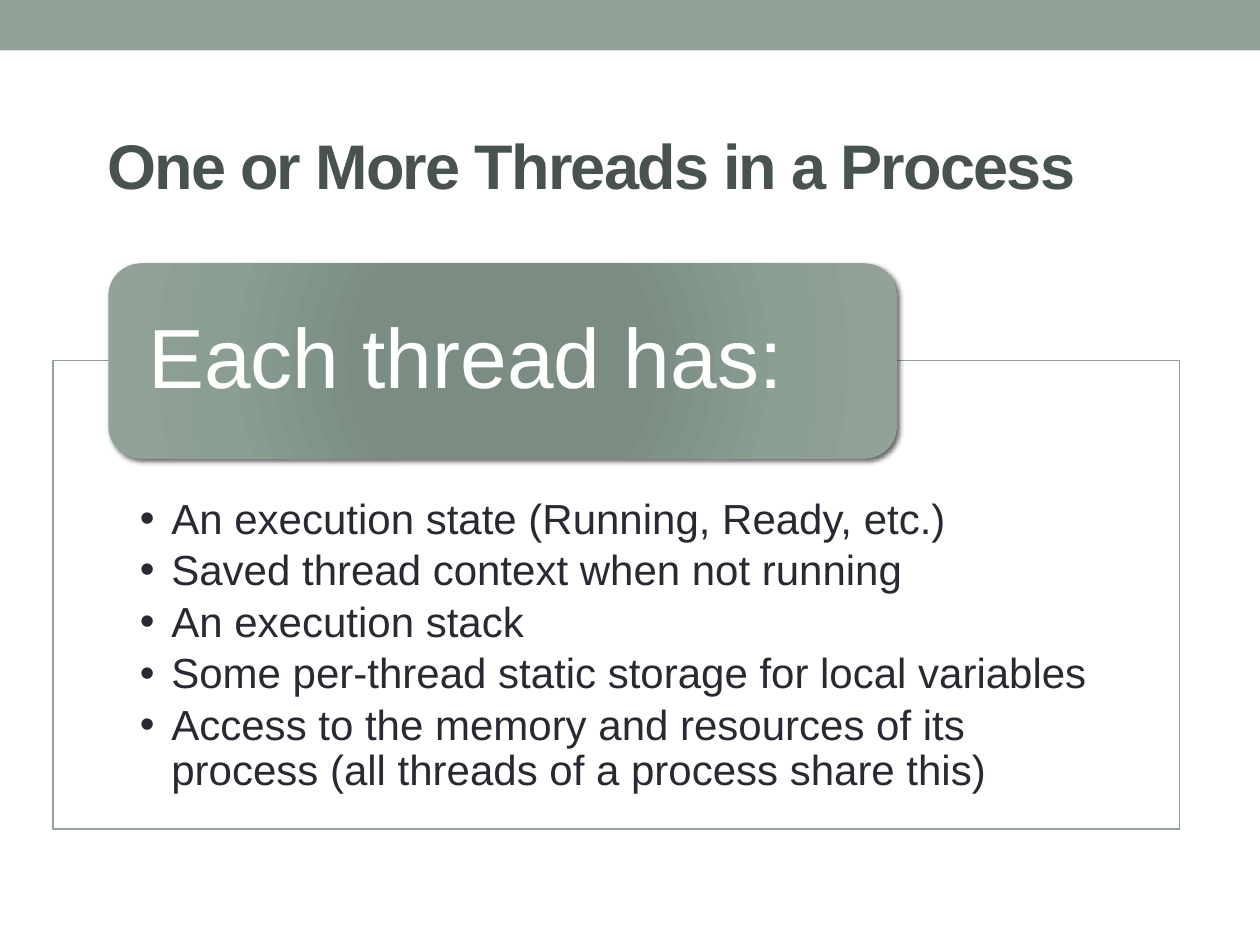
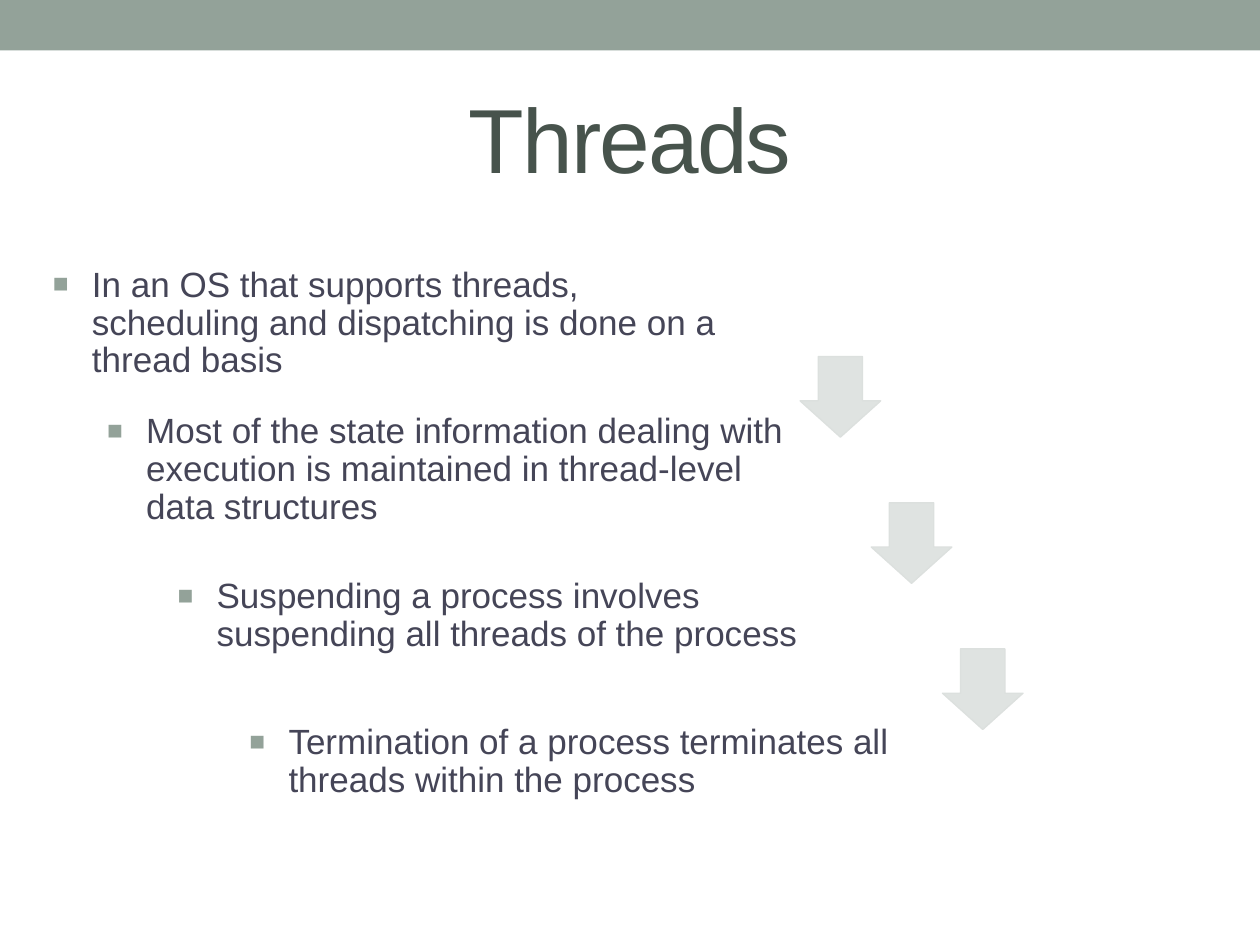
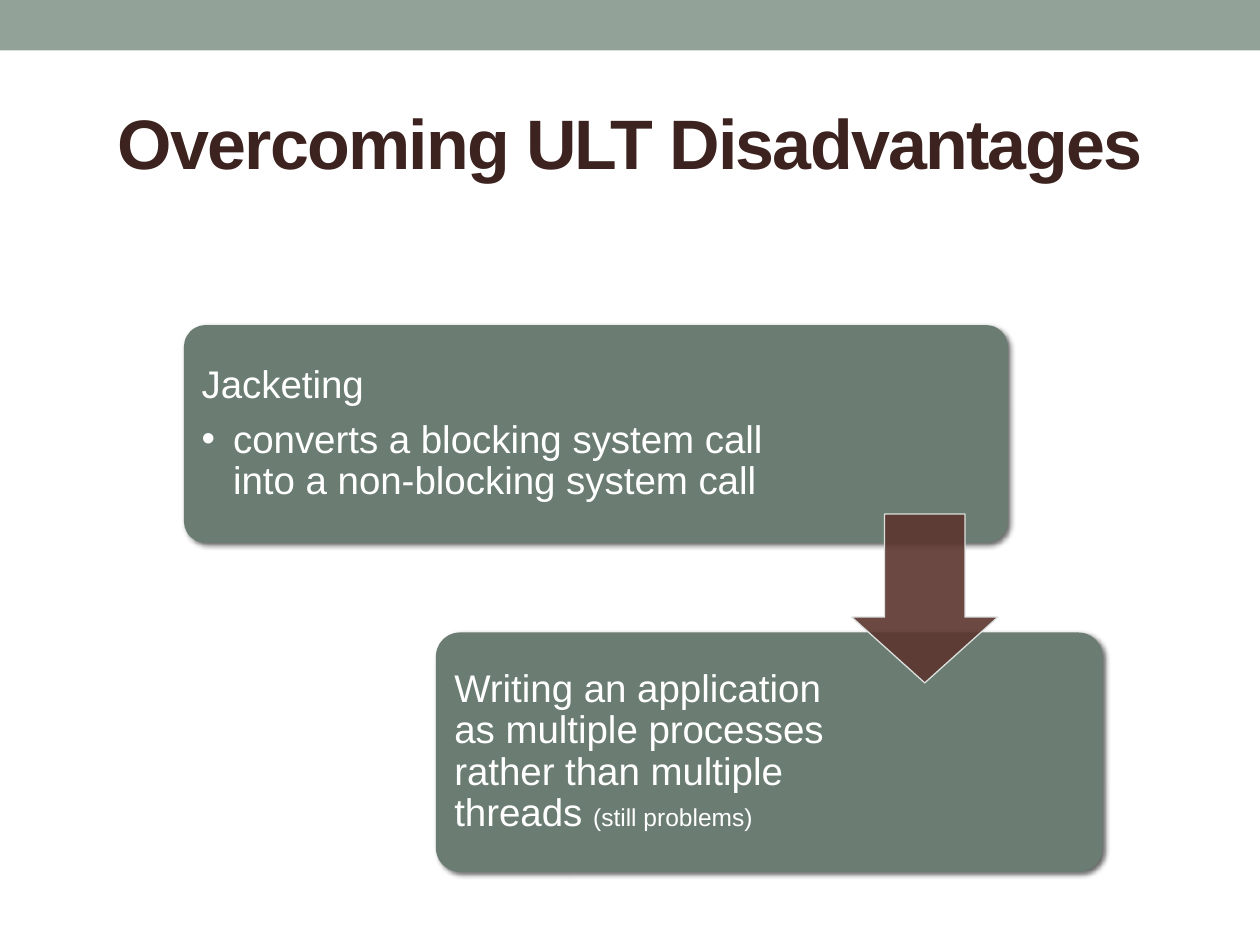
"""Build three slides about threads, with a shared band, title style and card style."""
from lxml.etree import SubElement
from pptx import Presentation
from pptx.dml.color import RGBColor
from pptx.enum.shapes import MSO_SHAPE
from pptx.enum.text import MSO_ANCHOR, MSO_AUTO_SIZE, PP_ALIGN
from pptx.oxml import parse_xml
from pptx.oxml.ns import nsdecls, qn
from pptx.util import Inches, Pt

SAGE, MOSS, SLATE = "93A299", "6B7D72", "47534C"
PALE, WHITE, INK, DUSK = "DCE0DE", "FFFFFF", "292934", "454557"
BROWN, DARK_BROWN = "5B352E", "3C231F"


def paint(shape, fill, line=None, alpha=100, shadow=False):
    shape.fill.solid()
    shape.fill.fore_color.rgb = RGBColor.from_string(fill)
    if alpha < 100:
        color = shape.element.spPr.find(qn("a:solidFill"))[0]
        SubElement(color, qn("a:alpha"), val=str(alpha * 1000))
    if line:
        shape.line.color.rgb = RGBColor.from_string(line)
        shape.line.width = Pt(0.75)
    else:
        shape.line.fill.background()
    shape.shadow.inherit = False
    if shadow:
        effects = shape.element.spPr.find(qn("a:effectLst"))
        effects.append(parse_xml(
            f'<a:outerShdw {nsdecls("a")} blurRad="38100" dist="25400" dir="2700000" '
            'rotWithShape="0"><a:srgbClr val="000000"><a:alpha val="60000"/></a:srgbClr>'
            '</a:outerShdw>'))


def style(para, size, color, after=0.0, bullet=None, indent=0.25, align=PP_ALIGN.LEFT):
    para.alignment = align
    para.space_before = Pt(0)
    para.space_after = Pt(size * after)
    if after:
        para.line_spacing = 0.9
    if bullet:
        properties = para._p.get_or_add_pPr()
        properties.set("marL", str(Inches(indent)))
        properties.set("indent", str(-Inches(indent)))
        if bullet == "■":
            bullet_color = SubElement(properties, qn("a:buClr"))
            SubElement(bullet_color, qn("a:srgbClr"), val=SAGE)
            SubElement(properties, qn("a:buSzPct"), val="75000")
        SubElement(properties, qn("a:buFont"), typeface="Arial")
        SubElement(properties, qn("a:buChar"), char=bullet)
    para.font.name = "Arial"
    para.font.size = Pt(size)
    para.font.color.rgb = RGBColor.from_string(color)


deck = Presentation()
deck.slide_width, deck.slide_height = Inches(10), Inches(7.5)

titles = [
    ("One or More Threads in a Process", (0.75, 0.58, 8.56, 1.45), 36, SLATE, True, PP_ALIGN.LEFT, 1),
    ("Threads", (0.72, 0.5, 8.56, 1.17), 52, SLATE, False, PP_ALIGN.CENTER, 5),
    ("Overcoming ULT Disadvantages", (0.5, 0.58, 9, 1.08), 40, DARK_BROWN, True, PP_ALIGN.CENTER, 5),
]
for text, place, size, color, bold, align, layout in titles:
    page = deck.slides.add_slide(deck.slide_layouts[layout])
    title = page.shapes.title
    title.left, title.top, title.width, title.height = map(Inches, place)
    title.text_frame.text = text
    title.text_frame.auto_size = MSO_AUTO_SIZE.NONE
    title.text_frame.vertical_anchor = MSO_ANCHOR.MIDDLE
    para = title.text_frame.paragraphs[0]
    style(para, size, color, align=align)
    para.font.bold = bold
    para._p.pPr.find(qn("a:defRPr")).set("spc", "-100")
contents_page, steps_page, remedies_page = deck.slides

band = contents_page.shapes.add_shape(MSO_SHAPE.RECTANGLE, 0, 0, deck.slide_width, Inches(0.4))
paint(band, SAGE)
deck.slide_master.shapes.element.insert(2, band.element)

contents = contents_page.placeholders[1]
contents.left, contents.top, contents.width, contents.height = map(Inches, (0.42, 2.86, 8.94, 3.72))
paint(contents, WHITE, SAGE, alpha=90)
frame = contents.text_frame
frame.auto_size = MSO_AUTO_SIZE.NONE
frame.margin_left = frame.margin_right = Inches(0.69)
frame.margin_top, frame.margin_bottom = Inches(1.09), Inches(0.19)
frame.text = "\n".join([
    "An execution state (Running, Ready, etc.)",
    "Saved thread context when not running",
    "An execution stack",
    "Some per-thread static storage for local variables",
    "Access to the memory and resources of its process (all threads of a process share this)",
])
for para in frame.paragraphs:
    style(para, 24, INK, after=0.15, bullet="•")

heading = contents_page.shapes.add_shape(
    MSO_SHAPE.ROUNDED_RECTANGLE, Inches(0.86), Inches(2.09), Inches(6.26), Inches(1.55))
paint(heading, SAGE, shadow=True)
stops = "".join(
    f'<a:gs pos="{position * 1000}"><a:srgbClr val="{color}"/></a:gs>'
    for position, color in [(0, "7B8E82"), (34, "7B8D83"), (70, "8A9E92"), (100, SAGE)])
gradient = parse_xml(
    f'<a:gradFill {nsdecls("a")} rotWithShape="1"><a:gsLst>{stops}</a:gsLst><a:path path="circle">'
    '<a:fillToRect l="100000" t="100000" r="100000" b="100000"/></a:path></a:gradFill>')
properties = heading.element.spPr
properties.replace(properties.find(qn("a:solidFill")), gradient)
frame = heading.text_frame
frame.margin_left = frame.margin_right = Inches(0.24)
frame.margin_top = frame.margin_bottom = 0
frame.text = "Each thread has:"
style(frame.paragraphs[0], 48, WHITE, after=0.35)

steps = [
    (0.34, 5.68, "In an OS that supports threads, scheduling and dispatching is done on a thread basis"),
    (0.77, 5.55, "Most of the state information dealing with execution is maintained in thread-level data structures"),
    (1.33, 5.56, "Suspending a process involves suspending all threads of the process"),
    (1.9, 5.55, "Termination of a process terminates all threads within the process"),
]
step_pitch = 1.16
for row, (left, width, text) in enumerate(steps):
    box = steps_page.shapes.add_textbox(
        Inches(left), Inches(2.11 + row * step_pitch), Inches(width), Inches(0.92))
    frame = box.text_frame
    frame.word_wrap = True
    frame.vertical_anchor = MSO_ANCHOR.MIDDLE
    frame.margin_left = frame.margin_right = frame.margin_top = frame.margin_bottom = Inches(0.08)
    frame.text = text
    style(frame.paragraphs[0], 20, DUSK, after=0.35, bullet="■", indent=0.31)

cards = []
for place, right_margin in [((1.46, 2.58, 6.54, 1.73), 1.78), ((3.46, 5.02, 5.29, 1.9), 1.93)]:
    card = remedies_page.shapes.add_shape(MSO_SHAPE.ROUNDED_RECTANGLE, *map(Inches, place))
    card.adjustments[0] = 0.1
    paint(card, MOSS, shadow=True)
    frame = card.text_frame
    frame.margin_left = frame.margin_top = frame.margin_bottom = Inches(0.09)
    frame.margin_right = Inches(right_margin)
    cards.append(frame)

jacketing, processes = cards
jacketing.text = "Jacketing\nconverts a blocking system call into a non-blocking system call"
style(jacketing.paragraphs[0], 22, WHITE, after=0.35)
style(jacketing.paragraphs[1], 22, WHITE, after=0.15, bullet="•")
processes.text = "Writing an application as multiple processes rather than multiple threads "
para = processes.paragraphs[0]
style(para, 22, WHITE, after=0.35)
span = para.add_run()
span.text = "(still problems)"
span.font.size = Pt(14)

arrows = [(steps_page, (6.35 + row * 0.565, 2.83 + row * step_pitch, 0.64, 0.64), PALE) for row in range(3)]
arrows.append((remedies_page, (6.76, 4.08, 1.16, 1.34), BROWN))
for page, place, color in arrows:
    arrow = page.shapes.add_shape(MSO_SHAPE.DOWN_ARROW, *map(Inches, place))
    arrow.adjustments[0], arrow.adjustments[1] = 0.55, 0.45
    paint(arrow, color, PALE, alpha=90)

deck.save("out.pptx")
